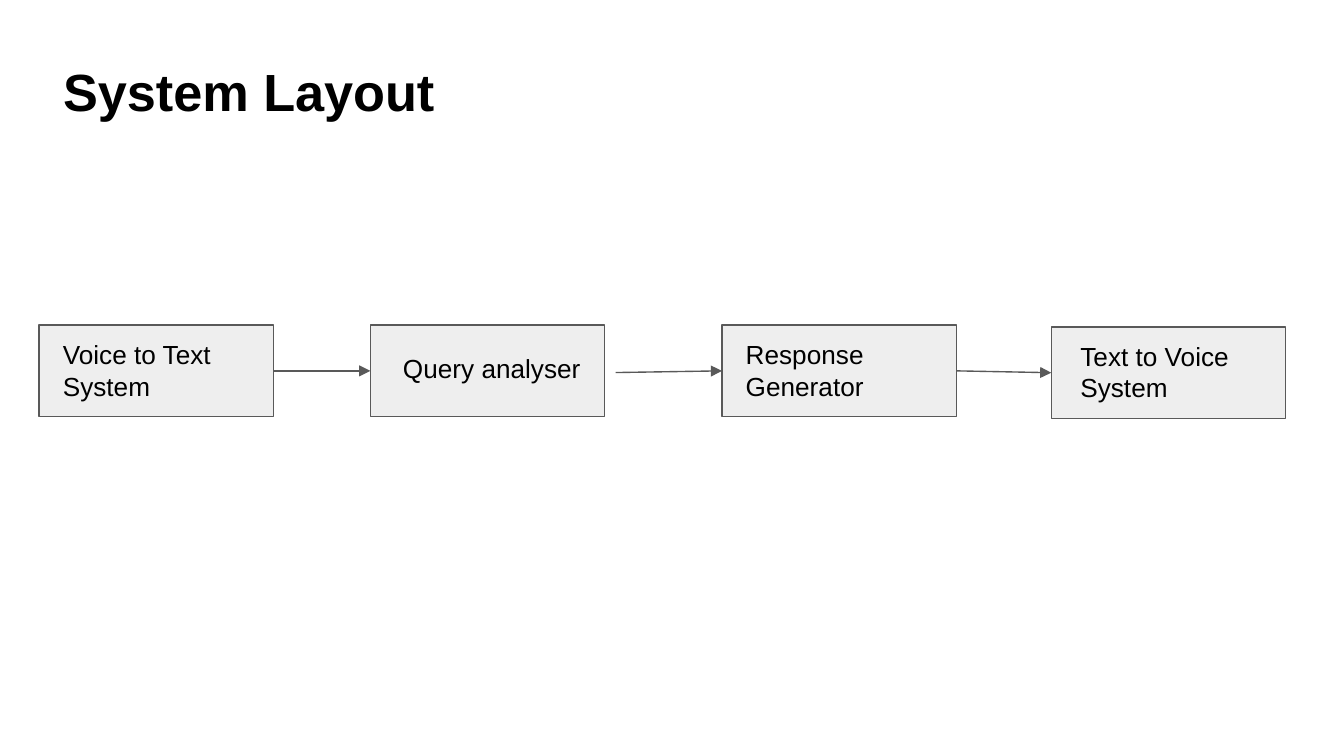
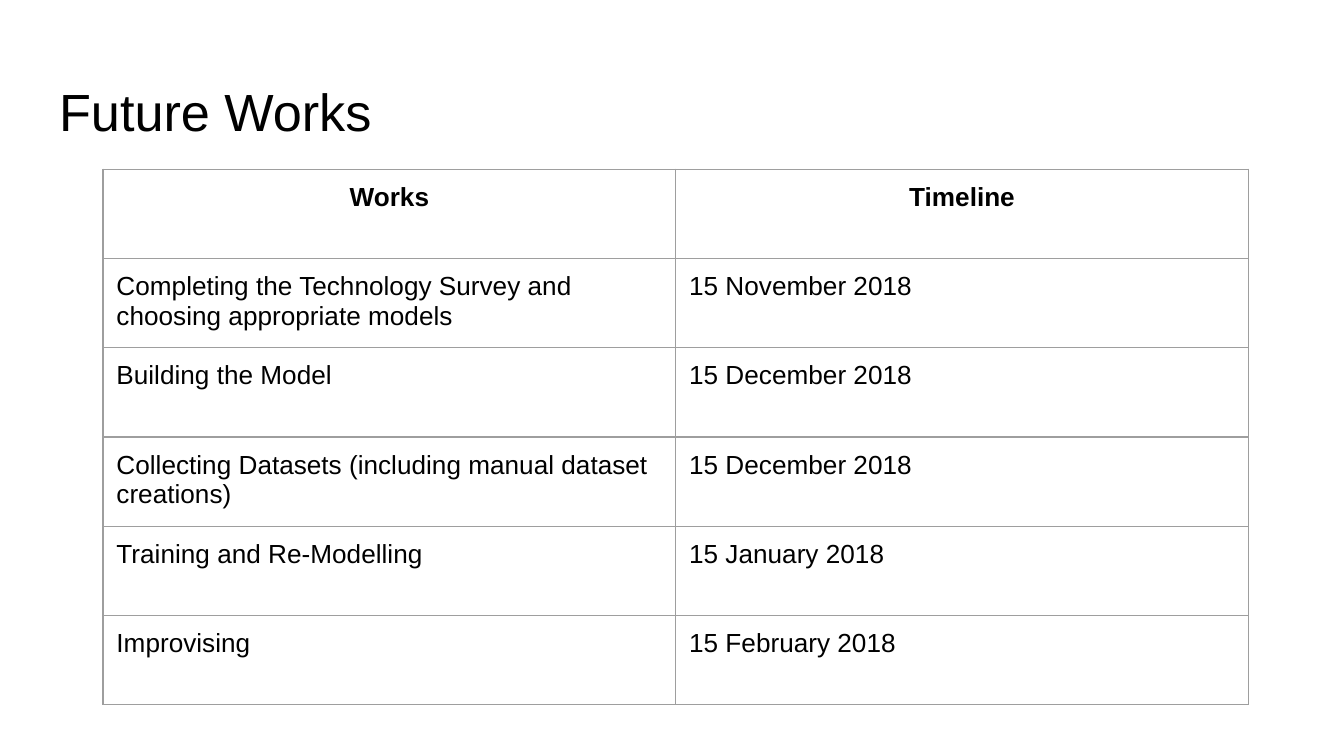
from lxml.etree import SubElement
from pptx import Presentation
from pptx.dml.color import RGBColor
from pptx.enum.shapes import MSO_CONNECTOR, MSO_SHAPE
from pptx.enum.text import MSO_ANCHOR, MSO_AUTO_SIZE, PP_ALIGN
from pptx.oxml.ns import qn
from pptx.util import Pt

FONT = "Arial"
BLACK = "000000"
BOX_FILL = "EEEEEE"
BOX_LINE = "595959"
TABLE_LINE = "9E9E9E"
LINE_WIDTH = 0.75
INSET = 7.2
TITLE_SIZE = 28
TEXT_SIZE = 14
BOX_WIDTH, BOX_HEIGHT = 125.5, 49
TOP, RIGHT, BOTTOM, LEFT = 0, 3, 2, 1

STAGES = [
    ("Voice to Text System", (20.9, 174.2), (26.6, 174.2, 107.3, 36)),
    ("Query analyser", (198.4, 174.2), (208.8, 181.4, 121.7, 36)),
    ("Response Generator", (386.8, 174.2), (392.4, 174.2, 113.8, 28)),
    ("Text to Voice System", (563.2, 175.2), (571.7, 175.2, 107.3, 36)),
]

SCHEDULE = [
    ("Works", "Timeline"),
    ("Completing the Technology Survey and choosing appropriate models", "15 November 2018"),
    ("Building the Model", "15 December 2018"),
    ("Collecting Datasets (including manual dataset creations)", "15 December 2018"),
    ("Training and Re-Modelling", "15 January 2018"),
    ("Improvising", "15 February 2018"),
]


def color(value):
    return RGBColor.from_string(value)


def set_line(line, value):
    line.color.rgb = color(value)
    line.width = Pt(LINE_WIDTH)


def write(text_frame, text, size=TEXT_SIZE, bold=False, alignment=PP_ALIGN.LEFT):
    paragraph = text_frame.paragraphs[0]
    paragraph.alignment = alignment
    run = paragraph.add_run()
    run.text = text
    run.font.name = FONT
    run.font.size = Pt(size)
    run.font.bold = bold
    run.font.color.rgb = color(BLACK)


def set_frame(text_frame):
    text_frame.word_wrap = True
    text_frame.auto_size = MSO_AUTO_SIZE.NONE
    text_frame.vertical_anchor = MSO_ANCHOR.TOP
    text_frame.margin_left = text_frame.margin_right = Pt(INSET)
    text_frame.margin_top = text_frame.margin_bottom = Pt(INSET)


def add_titled_slide(presentation, text, left, top, width, height, bold=False):
    slide = presentation.slides.add_slide(presentation.slide_layouts[5])
    title = slide.shapes.title
    title.left, title.top, title.width, title.height = map(Pt, (left, top, width, height))
    set_frame(title.text_frame)
    write(title.text_frame, text, TITLE_SIZE, bold)
    return slide


def add_box(slide, left, top):
    box = slide.shapes.add_shape(
        MSO_SHAPE.RECTANGLE, Pt(left), Pt(top), Pt(BOX_WIDTH), Pt(BOX_HEIGHT)
    )
    box.shadow.inherit = False
    box.fill.solid()
    box.fill.fore_color.rgb = color(BOX_FILL)
    set_line(box.line, BOX_LINE)
    return box


def add_label(slide, text, left, top, width, height):
    label = slide.shapes.add_textbox(Pt(left), Pt(top), Pt(width), Pt(height))
    set_frame(label.text_frame)
    write(label.text_frame, text)


def add_arrow(slide, target, source=None, start=(0, 0)):
    arrow = slide.shapes.add_connector(
        MSO_CONNECTOR.STRAIGHT, Pt(start[0]), Pt(start[1]), target.left, target.top
    )
    if source is not None:
        arrow.begin_connect(source, RIGHT)
    arrow.end_connect(target, LEFT)
    set_line(arrow.line, BOX_LINE)
    SubElement(arrow.line._get_or_add_ln(), qn("a:tailEnd"), type="triangle")
    SubElement(arrow._element.spPr, qn("a:effectLst"))


def set_borders(cell):
    properties = cell._tc.get_or_add_tcPr()
    for index, side in enumerate(("a:lnL", "a:lnR", "a:lnT", "a:lnB")):
        border = SubElement(properties, qn(side), w=str(Pt(LINE_WIDTH)))
        fill = SubElement(border, qn("a:solidFill"))
        SubElement(fill, qn("a:srgbClr"), val=TABLE_LINE)
        properties.insert(index, border)


def add_schedule(slide, rows, left, top, column_width, row_height):
    column_count = len(rows[0])
    table = slide.shapes.add_table(
        len(rows), column_count, Pt(left), Pt(top),
        Pt(column_width * column_count), Pt(row_height * len(rows)),
    ).table
    table.horz_banding = False
    for row_index, values in enumerate(rows):
        header = row_index == 0
        for column_index, text in enumerate(values):
            cell = table.cell(row_index, column_index)
            cell.fill.background()
            cell.margin_left = cell.margin_right = Pt(INSET)
            cell.margin_top = cell.margin_bottom = Pt(INSET)
            set_borders(cell)
            alignment = PP_ALIGN.CENTER if header else PP_ALIGN.LEFT
            write(cell.text_frame, text, bold=header, alignment=alignment)


def build_layout_slide(presentation):
    slide = add_titled_slide(presentation, "System Layout", 26.6, 24.5, 287.3, 41.8, bold=True)
    boxes = [add_box(slide, *position) for _, position, _ in STAGES]
    for text, _, area in STAGES:
        add_label(slide, text, *area)
    voice, query, response, speech = boxes
    add_arrow(slide, query, source=voice)
    add_arrow(slide, response, start=(329.8, 199.6))
    add_arrow(slide, speech, source=response)


def build_schedule_slide(presentation):
    slide = add_titled_slide(presentation, "Future Works", 24.5, 35.3, 671, 45.4)
    add_schedule(slide, SCHEDULE, 55.2, 90.7, 306.8, 47.8)


def main():
    presentation = Presentation()
    presentation.slide_width = Pt(720)
    presentation.slide_height = Pt(405)
    build_layout_slide(presentation)
    build_schedule_slide(presentation)
    presentation.save("out.pptx")


if __name__ == "__main__":
    main()
